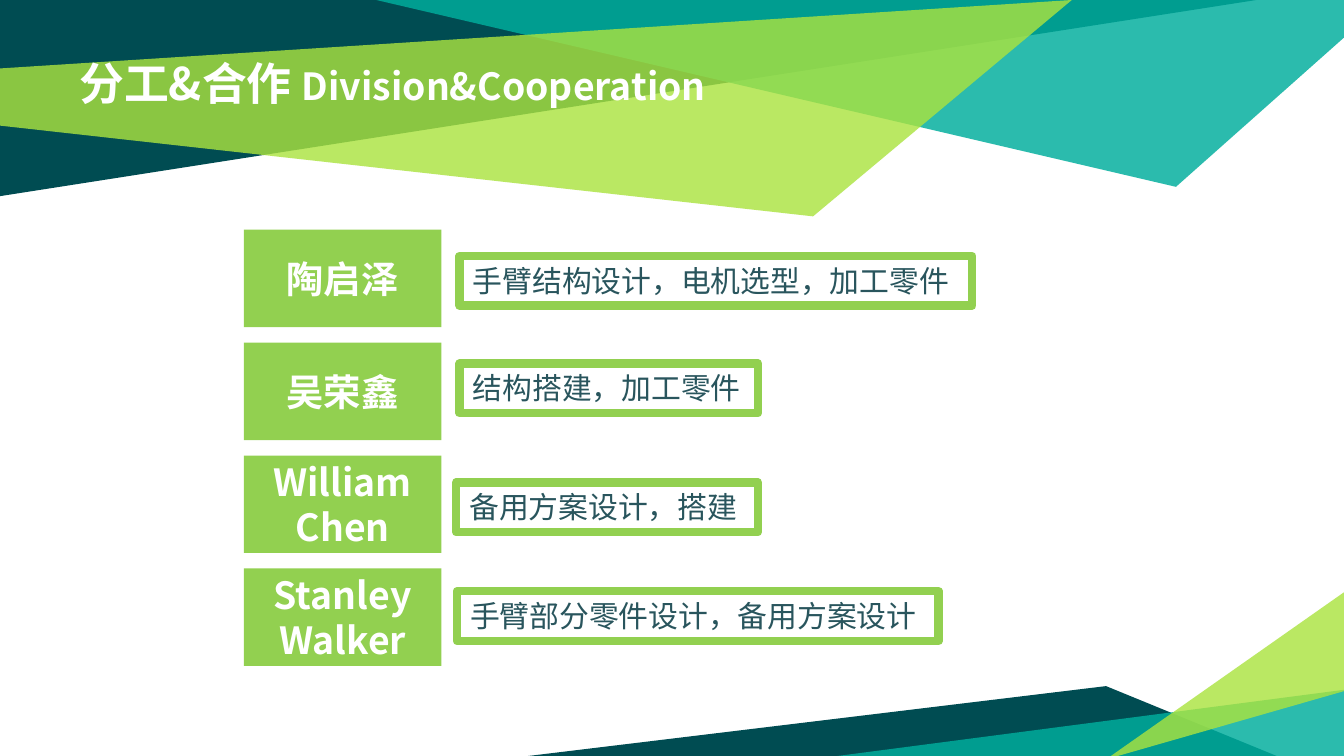
import pptx
import pptx.dml.color
import pptx.enum.shapes
import pptx.enum.text
import pptx.oxml.ns
import pptx.util
from lxml import etree

PX = 4572  # EMU in one px, at 200 px to the inch
WIDTH, HEIGHT = 2000, 1125
FONT = "Noto Sans CJK SC"
DARK, TEAL, LIME, GREEN = "004C52", "00AE9D", "ABE33F", "92D050"
WHITE, INK = "FFFFFF", "29555D"

# Name, task, and the task box's left, top and width within the list
MEMBERS = [
    ("陶启泽", "手臂结构设计，电机选型，加工零件", 321, 39, 763),
    ("吴荣鑫", "结构搭建，加工零件", 321, 199, 444),
    ("William Chen", "备用方案设计，搭建", 316, 376, 449),
    ("Stanley Walker", "手臂部分零件设计，备用方案设计", 317, 538, 717),
]


def color(value):
    return pptx.dml.color.RGBColor.from_string(value)


def add_child(parent, tag, **attributes):
    return etree.SubElement(parent, pptx.oxml.ns.qn(tag), attributes)


def set_font(font, size, value, name, bold=False):
    """Style a font, using the same typeface for Latin and East Asian text."""
    font.size, font.bold, font.name = pptx.util.Pt(size), bold, name
    font.color.rgb = color(value)
    add_child(font._element, "a:ea", typeface=name)


def add_polygon(page, left, top, points, fill, opacity=100):
    points = [(left + x, top + y) for x, y in points]
    builder = page.shapes.build_freeform(*points[0], scale=PX)
    builder.add_line_segments(points[1:], close=True)
    shape = builder.convert_to_shape()
    shape.shadow.inherit = False
    shape.line.fill.background()
    shape.fill.solid()
    shape.fill.fore_color.rgb = color(fill)
    if opacity < 100:
        tint = shape._element.spPr.find(".//" + pptx.oxml.ns.qn("a:srgbClr"))
        add_child(tint, "a:alpha", val=str(opacity * 1000))


def add_box(page, left, top, width, height, text):
    shape = page.shapes.add_shape(
        pptx.enum.shapes.MSO_SHAPE.RECTANGLE,
        left * PX, top * PX, width * PX, height * PX)
    shape.shadow.inherit = False
    shape.text_frame.word_wrap = True
    shape.text_frame.text = text
    return shape


def add_header(page, left, top):
    add_polygon(page, left, top, [(0, 0), (0, 292), (1870, 0)], DARK)
    add_polygon(page, left, top,
                [(560, 0), (1750, 278), (2000, 56), (2000, 0)], TEAL, 83)
    add_polygon(page, left, top,
                [(-2, 102), (0, 187), (1210, 322), (1595, 0)], LIME, 81)


def add_footer(page, left, top):
    add_polygon(page, left, top, [(0, 245), (1114, 245), (860, 141)], DARK)
    add_polygon(page, left, top,
                [(1218, 146), (1218, 250), (422, 250)], TEAL, 83)
    add_polygon(page, left, top, [(1216, 148), (1216, 0), (860, 250)], LIME, 81)


def add_title(page, left, top, width, height):
    title = page.shapes.title
    title.left, title.top = left * PX, top * PX
    title.width, title.height = width * PX, height * PX
    frame = title.text_frame
    frame.auto_size = pptx.enum.text.MSO_AUTO_SIZE.NONE
    frame.vertical_anchor = pptx.enum.text.MSO_ANCHOR.TOP
    frame.margin_left = frame.margin_right = 20 * PX
    frame.margin_top = frame.margin_bottom = 20 * PX
    para = frame.paragraphs[0]
    para.alignment = pptx.enum.text.PP_ALIGN.LEFT
    for text, size in (("分工&合作 ", 24), ("Division&Cooperation", 20)):
        span = para.add_run()
        span.text = text
        set_font(span.font, size, WHITE, FONT, bold=True)


def add_name(page, left, top, text):
    box = add_box(page, left, top, 294, 145, text)
    box.fill.solid()
    box.fill.fore_color.rgb = color(GREEN)
    box.line.fill.background()
    box.text_frame.vertical_anchor = pptx.enum.text.MSO_ANCHOR.MIDDLE
    para = box.text_frame.paragraphs[0]
    para.alignment = pptx.enum.text.PP_ALIGN.CENTER
    set_font(para.font, 20, WHITE, FONT, bold=True)


def add_task(page, left, top, width, text):
    box = add_box(page, left, top, width, 74, text)
    box.fill.background()
    box.line.color.rgb = color(GREEN)
    box.line.width = pptx.util.Pt(4.5)
    add_child(box.line._ln, "a:round")
    box.text_frame.auto_size = pptx.enum.text.MSO_AUTO_SIZE.SHAPE_TO_FIT_TEXT
    box.text_frame.vertical_anchor = pptx.enum.text.MSO_ANCHOR.TOP
    para = box.text_frame.paragraphs[0]
    para.alignment = pptx.enum.text.PP_ALIGN.LEFT
    set_font(para.font, 16, INK, "Arial")


def add_members(page, left, top, pitch):
    for row, (name, task, task_left, task_top, width) in enumerate(MEMBERS):
        add_name(page, left, top + row * pitch, name)
        add_task(page, left + task_left, top + task_top, width, task)


def main():
    deck = pptx.Presentation()
    deck.slide_width, deck.slide_height = WIDTH * PX, HEIGHT * PX
    page = deck.slides.add_slide(deck.slide_layouts.get_by_name("Title Only"))
    add_header(page, 0, 0)
    add_footer(page, 786, 880)
    add_title(page, 98, 63, 1642, 212)
    title = page.shapes.title._element
    title.getparent().append(title)  # bring the title in front of the bands
    add_members(page, 363, 342, 168)
    deck.save("out.pptx")


if __name__ == "__main__":
    main()
